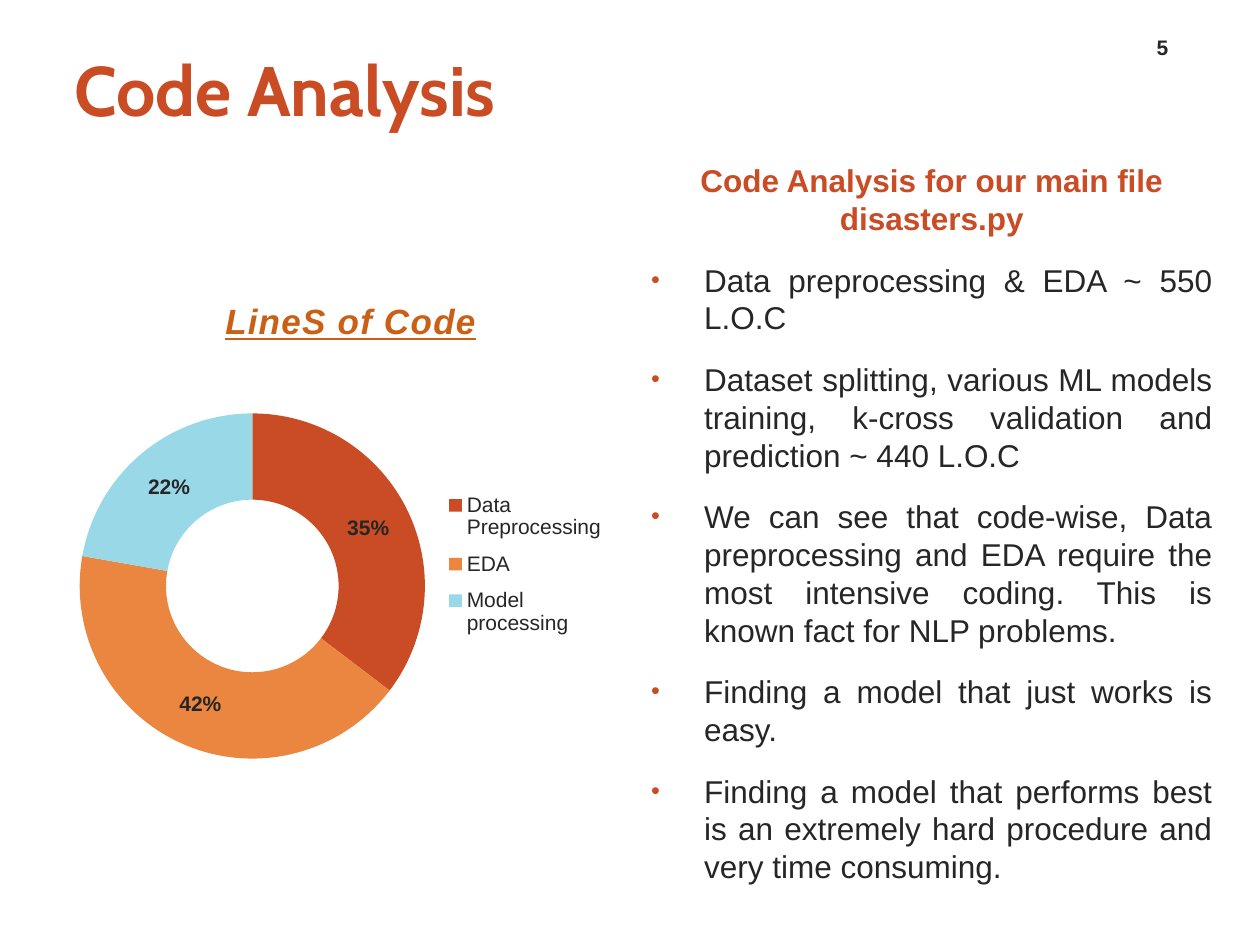
from dataclasses import dataclass

import pptx
import pptx.chart.data
import pptx.dml.color
import pptx.enum.chart
import pptx.enum.text
import pptx.oxml
import pptx.oxml.ns
import pptx.util
from pptx.util import Inches

ALIGN = pptx.enum.text.PP_ALIGN
ANCHOR = pptx.enum.text.MSO_ANCHOR


@dataclass(frozen=True)
class Theme:
    accent: str = "C94C25"
    text: str = "262626"
    chart_title: str = "C96016"
    body_font: str = "Arial"
    title_font: str = "Cabin"
    title_size: int = 40
    chart_title_size: int = 20
    body_size: int = 18
    small_size: int = 12
    chart_size: int = 10


@dataclass(frozen=True)
class Box:
    left: float
    top: float
    width: float
    height: float

    def lengths(self) -> tuple:
        return tuple(Inches(n) for n in (self.left, self.top, self.width, self.height))


@dataclass(frozen=True)
class Segment:
    name: str
    value: int
    color: str


THEME = Theme()

SEGMENTS = [
    Segment("Data Preprocessing", 35, THEME.accent),
    Segment("EDA", 42, "EA8640"),
    Segment("Model processing", 22, "99D9E7"),
]

HEADING = "Code Analysis for our main file disasters.py"
BULLETS = [
    "Data preprocessing & EDA ~ 550 L.O.C",
    "Dataset splitting, various ML models training, k-cross validation and prediction ~ 440 L.O.C",
    "We can see that code-wise, Data preprocessing and EDA require the most "
    "intensive coding. This is known fact for NLP problems.",
    "Finding a model that just works is easy.",
    "Finding a model that performs best is an extremely hard procedure and very time consuming.",
]


def style_font(font, size: float, color: str, bold: bool = False,
               name: str = THEME.body_font) -> None:
    font.name = name
    font.size = pptx.util.Pt(size)
    font.bold = bold
    font.color.rgb = pptx.dml.color.RGBColor.from_string(color)


def indent(paragraph, margin: float, first_line: float = 0) -> None:
    properties = paragraph._p.get_or_add_pPr()
    properties.set("marL", str(Inches(margin)))
    properties.set("indent", str(Inches(first_line)))


def add_bullet(paragraph) -> None:
    namespace = pptx.oxml.ns.nsdecls("a")
    properties = paragraph._p.get_or_add_pPr()
    for xml in (
        f'<a:buClr {namespace}><a:srgbClr val="{THEME.accent}"/></a:buClr>',
        f'<a:buSzPct {namespace} val="80000"/>',
        f'<a:buFont {namespace} typeface="Arial"/>',
        f'<a:buChar {namespace} char="•"/>',
    ):
        properties.append(pptx.oxml.parse_xml(xml))


def add_text_frame(slide, box: Box, anchor=ANCHOR.TOP):
    frame = slide.shapes.add_textbox(*box.lengths()).text_frame
    frame.word_wrap = True
    frame.vertical_anchor = anchor
    return frame


def add_title(slide, text: str, box: Box) -> None:
    title = slide.shapes.title
    title.left, title.top, title.width, title.height = box.lengths()
    frame = title.text_frame
    frame.margin_left = frame.margin_right = 0
    frame.vertical_anchor = ANCHOR.MIDDLE
    frame.text = text
    paragraph = frame.paragraphs[0]
    paragraph.alignment = ALIGN.LEFT
    style_font(paragraph.font, THEME.title_size, THEME.accent, True, THEME.title_font)


def add_analysis(slide, box: Box) -> None:
    frame = add_text_frame(slide, box)
    for index, text in enumerate([HEADING] + BULLETS):
        is_heading = index == 0
        paragraph = frame.paragraphs[0] if is_heading else frame.add_paragraph()
        paragraph.text = text
        paragraph.space_after = pptx.util.Pt(10)
        if is_heading:
            paragraph.alignment = ALIGN.CENTER
            indent(paragraph, 0.07)
        else:
            paragraph.alignment = ALIGN.JUSTIFY
            paragraph.space_before = pptx.util.Pt(3.6)
            indent(paragraph, 0.49, -0.42)
            add_bullet(paragraph)
        color = THEME.accent if is_heading else THEME.text
        style_font(paragraph.font, THEME.body_size, color, is_heading)


def add_page_number(slide, number: int, box: Box) -> None:
    frame = add_text_frame(slide, box, ANCHOR.BOTTOM)
    paragraph = frame.paragraphs[0]
    paragraph.text = str(number)
    paragraph.alignment = ALIGN.CENTER
    style_font(paragraph.font, THEME.small_size, THEME.text, True)


def place_chart_part(part, fractions: dict[str, float], inner: bool = False) -> None:
    """Place a chart part by fractions of the chart's width and height."""
    target = '<c:layoutTarget val="inner"/>' if inner else ""
    modes = "".join(f'<c:{key}Mode val="edge"/>' for key in "xy")
    values = "".join(f'<c:{key} val="{value}"/>' for key, value in fractions.items())
    layout = pptx.oxml.parse_xml(
        f'<c:layout {pptx.oxml.ns.nsdecls("c")}><c:manualLayout>'
        f"{target}{modes}{values}</c:manualLayout></c:layout>"
    )
    for old_layout in part.findall(pptx.oxml.ns.qn("c:layout")):
        part.remove(old_layout)
    # The layout follows the title's text or the legend's position
    leading = [part.find(pptx.oxml.ns.qn(tag)) for tag in ("c:tx", "c:legendPos")]
    part.insert(sum(child is not None for child in leading), layout)


def add_lines_chart(slide, box: Box) -> None:
    data = pptx.chart.data.CategoryChartData()
    data.categories = [segment.name for segment in SEGMENTS]
    data.add_series("Series 1", [segment.value for segment in SEGMENTS])
    chart = slide.shapes.add_chart(
        pptx.enum.chart.XL_CHART_TYPE.DOUGHNUT, *box.lengths(), data).chart
    style_font(chart.font, THEME.chart_size, THEME.text)

    # Chart title
    chart.has_title = True
    paragraph = chart.chart_title.text_frame.paragraphs[0]
    run = paragraph.add_run()
    run.text = "LineS of Code"
    style_font(run.font, THEME.chart_title_size, THEME.chart_title, True)
    run.font.italic = run.font.underline = True
    run._r.get_or_add_rPr().set("spc", "60")
    place_chart_part(chart.chart_title._element, {"x": 0.28, "y": 0.09})

    # Legend
    chart.has_legend = True
    chart.legend.position = pptx.enum.chart.XL_LEGEND_POSITION.RIGHT
    chart.legend.include_in_layout = False
    style_font(chart.legend.font, THEME.small_size, THEME.text)
    place_chart_part(chart.legend._element, {"x": 0.68, "y": 0.39, "w": 0.3, "h": 0.27})

    # Ring and percentages
    plot = chart.plots[0]
    plot.vary_by_categories = True
    place_chart_part(chart._chartSpace.chart.plotArea,
                     {"x": 0.03, "y": 0.28, "w": 0.62, "h": 0.56}, inner=True)
    for index, segment in enumerate(SEGMENTS):
        fill = plot.series[0].points[index].format.fill
        fill.solid()
        fill.fore_color.rgb = pptx.dml.color.RGBColor.from_string(segment.color)
    labels = plot.series[0].data_labels
    labels.show_percentage = True
    labels.show_value = False
    labels.number_format = "0%"
    labels.number_format_is_linked = False
    style_font(labels.font, THEME.small_size, THEME.text, True)


def main() -> None:
    presentation = pptx.Presentation()
    presentation.slide_width, presentation.slide_height = Inches(10), Inches(7.5)
    slide = presentation.slides.add_slide(presentation.slide_layouts[5])
    add_title(slide, "Code Analysis", Box(0.59, 0.33, 5.07, 0.74))
    add_analysis(slide, Box(5, 1.23, 4.72, 5.91))
    add_page_number(slide, 5, Box(8.95, 0.19, 0.55, 0.33))
    add_lines_chart(slide, Box(0.5, 1.88, 4.42, 4.95))
    presentation.save("out.pptx")


if __name__ == "__main__":
    main()
